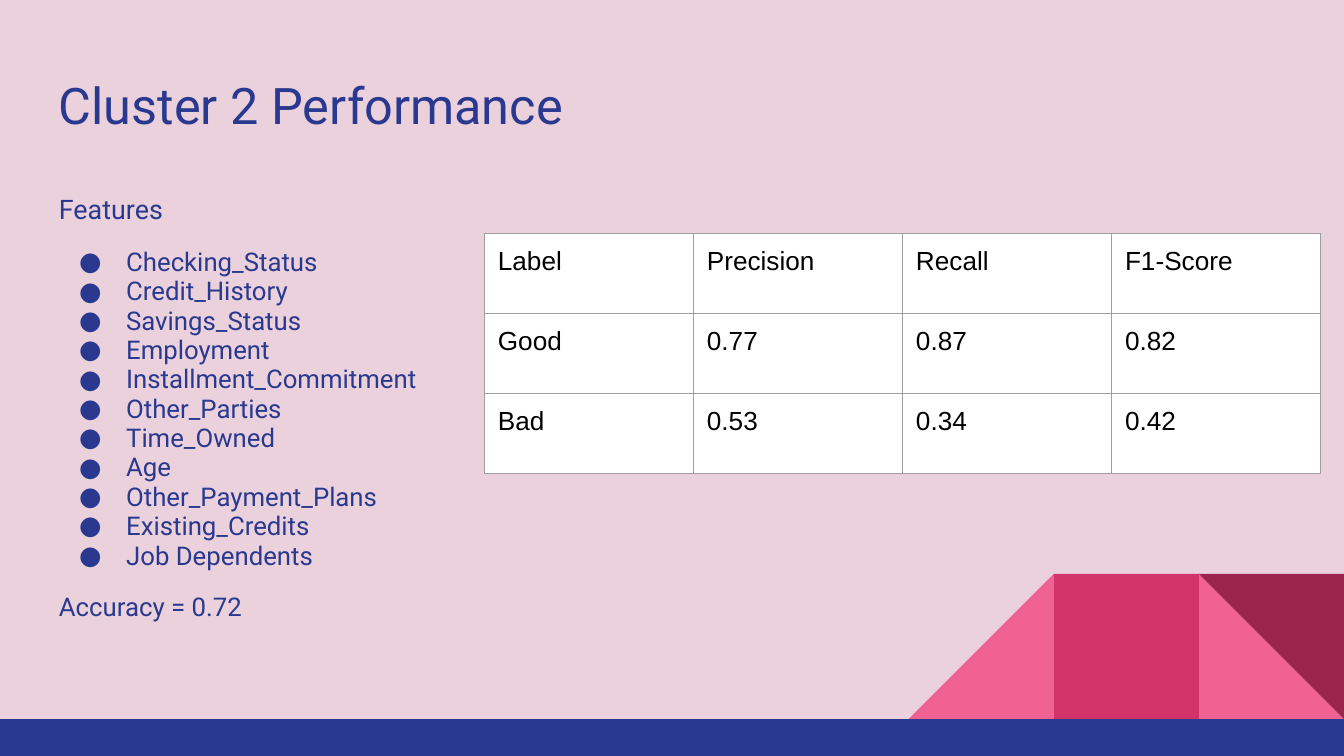
from dataclasses import dataclass

from lxml.etree import SubElement
from pptx import Presentation
from pptx.dml.color import RGBColor
from pptx.enum.shapes import MSO_SHAPE as Preset
from pptx.enum.text import MSO_ANCHOR as Anchor
from pptx.oxml.ns import qn
from pptx.slide import Slide
from pptx.text.text import TextFrame, _Paragraph as Paragraph
from pptx.util import Pt

COLORS = {
    "background": "EAD1DC",
    "navy": "2A3990",
    "pink": "F06292",
    "rose": "D23369",
    "wine": "9C254D",
    "white": "FFFFFF",
    "black": "000000",
    "border": "9E9E9E",
}
INSET = Pt(7.2)
TILE = 77.75
TILE_LEFT = 486.75
BAR_TOP = 385.2
FEATURES = [
    "Checking_Status", "Credit_History", "Savings_Status", "Employment",
    "Installment_Commitment", "Other_Parties", "Time_Owned", "Age",
    "Other_Payment_Plans", "Existing_Credits", "Job Dependents",
]
SCORES = [
    ["Label", "Precision", "Recall", "F1-Score"],
    ["Good", "0.77", "0.87", "0.82"],
    ["Bad", "0.53", "0.34", "0.42"],
]


@dataclass
class Block:
    """A filled preset shape, measured in points."""
    preset: Preset
    left: float
    top: float
    width: float
    height: float
    color: str
    rotation: float = 0


@dataclass
class Line:
    """A paragraph of the feature list."""
    text: str
    size: float
    before: float = 0
    after: float = 0
    bulleted: bool = False


def tile(preset: Preset, column: int, color: str, rotation: float = 0) -> Block:
    """Place a square tile on the row above the bottom bar."""
    return Block(preset, TILE_LEFT + column * TILE, BAR_TOP - TILE, TILE, TILE, color, rotation)


def rgb(color: str) -> RGBColor:
    """Look up a named colour."""
    return RGBColor.from_string(COLORS[color])


def draw_block(slide: Slide, block: Block) -> None:
    """Draw a filled shape without outline or shadow."""
    shape = slide.shapes.add_shape(
        block.preset, Pt(block.left), Pt(block.top), Pt(block.width), Pt(block.height))
    shape.rotation = block.rotation
    shape.shadow.inherit = False
    shape.fill.solid()
    shape.fill.fore_color.rgb = rgb(block.color)
    shape.line.fill.background()


def add_text_frame(slide: Slide, top: float, height: float, anchor: Anchor) -> TextFrame:
    """Add a wrapping text box across the content width."""
    frame = slide.shapes.add_textbox(Pt(24.5), Pt(top), Pt(671), Pt(height)).text_frame
    frame.word_wrap = True
    frame.vertical_anchor = anchor
    frame.margin_left = frame.margin_right = frame.margin_top = frame.margin_bottom = INSET
    return frame


def write(paragraph: Paragraph, text: str, size: float, font: str, color: str) -> None:
    """Set a paragraph's text and format its runs."""
    paragraph.text = text
    for run in paragraph.runs:
        run.font.size = Pt(size)
        run.font.name = font
        run.font.color.rgb = rgb(color)


def add_bullet(paragraph: Paragraph) -> None:
    """Give a paragraph a hanging round bullet."""
    properties = paragraph._p.get_or_add_pPr()
    properties.set("marL", str(Pt(36)))
    properties.set("indent", str(-Pt(25.2)))
    bullet_color = SubElement(properties, qn("a:buClr"))
    SubElement(bullet_color, qn("a:srgbClr"), val=COLORS["navy"])
    SubElement(properties, qn("a:buFont"), typeface="Roboto")
    SubElement(properties, qn("a:buChar"), char="●")


def draw_features(slide: Slide) -> None:
    """Write the feature list with its heading and accuracy."""
    lines = [Line("Features", 14.4)]
    lines += [Line(name, 13.8, before=0 if index else 12, bulleted=True)
              for index, name in enumerate(FEATURES)]
    lines.append(Line("Accuracy = 0.72", 13.8, before=12, after=12))
    frame = add_text_frame(slide, 97.2, 262.8, Anchor.TOP)
    for index, line in enumerate(lines):
        paragraph = frame.add_paragraph() if index else frame.paragraphs[0]
        write(paragraph, line.text, line.size, "Roboto", "navy")
        paragraph.line_spacing = 0.95
        paragraph.space_before = Pt(line.before)
        paragraph.space_after = Pt(line.after)
        if line.bulleted:
            add_bullet(paragraph)


def draw_scores(slide: Slide) -> None:
    """Draw the score table with thin borders."""
    rows, columns = len(SCORES), len(SCORES[0])
    table = slide.shapes.add_table(
        rows, columns, Pt(259.5), Pt(125.2), Pt(112 * columns), Pt(42.85 * rows)).table
    table.first_row = table.horz_banding = False
    for values, row in zip(SCORES, table.rows):
        for value, cell in zip(values, row.cells):
            cell.margin_left = cell.margin_right = cell.margin_top = cell.margin_bottom = INSET
            write(cell.text_frame.paragraphs[0], value, 14, "Arial", "black")
            properties = cell._tc.get_or_add_tcPr()
            for side in ("lnL", "lnR", "lnT", "lnB"):
                border = SubElement(properties, qn(f"a:{side}"), w=str(Pt(0.75)))
                border_fill = SubElement(border, qn("a:solidFill"))
                SubElement(border_fill, qn("a:srgbClr"), val=COLORS["border"])
            cell.fill.solid()
            cell.fill.fore_color.rgb = rgb("white")


def main() -> None:
    """Build and save the cluster performance slide."""
    deck = Presentation()
    deck.slide_width, deck.slide_height = Pt(720), Pt(405)
    slide = deck.slides.add_slide(deck.slide_layouts[6])
    slide.background.fill.solid()
    slide.background.fill.fore_color.rgb = rgb("background")
    for block in (
        tile(Preset.RIGHT_TRIANGLE, 2, "pink"),
        tile(Preset.RIGHT_TRIANGLE, 0, "pink", 270),
        tile(Preset.RECTANGLE, 1, "rose"),
        tile(Preset.RIGHT_TRIANGLE, 2, "wine", 180),
        Block(Preset.RECTANGLE, 0, BAR_TOP, 720, 405 - BAR_TOP, "navy"),
    ):
        draw_block(slide, block)
    title = add_text_frame(slide, 32.4, 47.5, Anchor.MIDDLE)
    write(title.paragraphs[0], "Cluster 2 Performance", 27, "Roboto", "navy")
    draw_features(slide)
    draw_scores(slide)
    deck.save("out.pptx")


if __name__ == "__main__":
    main()
